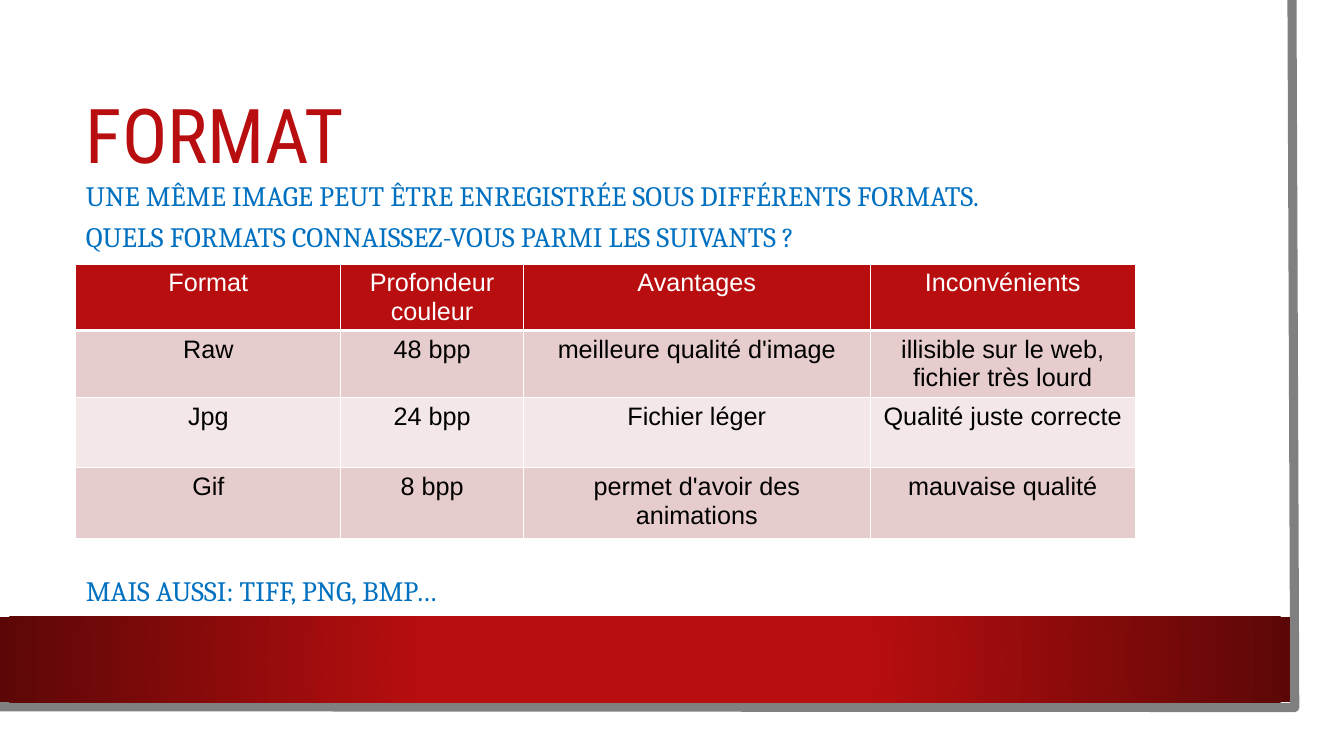
import pptx
import pptx.dml.color
import pptx.enum.shapes
import pptx.enum.text
import pptx.oxml
import pptx.oxml.ns
import pptx.util

Cm = pptx.util.Cm
Pt = pptx.util.Pt
ALIGN = pptx.enum.text.PP_ALIGN
NS = pptx.oxml.ns.nsdecls("a")

RED, DARK, BLUE = "B80E0F", "5C0707", "0070C0"
WHITE, BLACK, GREY = "FFFFFF", "000000", "808080"
BANDS = ("F3E7E7", "E6CCCC")

ROWS = [
    ("Format", "Profondeur couleur", "Avantages", "Inconvénients"),
    ("Raw", "48 bpp", "meilleure qualité d'image",
     "illisible sur le web, fichier très lourd"),
    ("Jpg", "24 bpp", "Fichier léger", "Qualité juste correcte"),
    ("Gif", "8 bpp", "permet d'avoir des animations", "mauvaise qualité"),
]
WIDTHS = (6.68, 4.6, 8.74, 6.68)
HEIGHTS = (1.68, 1.68, 1.78, 1.78)


def color(code):
    return pptx.dml.color.RGBColor.from_string(code)


def write(para, text, font, size, code):
    """Add text to a paragraph as runs, one per line."""
    for num, line in enumerate(text.split("\n")):
        if num:
            para.add_line_break()
        run = para.add_run()
        run.text = line
        run.font.name = font
        run.font.size = Pt(size)
        run.font.color.rgb = color(code)


def fill_holder(holder, box, text, font, size, code, lead):
    """Move a placeholder to its box and set its one paragraph."""
    holder.left, holder.top, holder.width, holder.height = map(Cm, box)
    frame = holder.text_frame
    frame.word_wrap = True
    frame.auto_size = pptx.enum.text.MSO_AUTO_SIZE.NONE
    frame.vertical_anchor = pptx.enum.text.MSO_ANCHOR.MIDDLE
    para = frame.paragraphs[0]
    props = para._p.get_or_add_pPr()
    props.set("marL", "0")
    props.set("indent", "0")
    props.append(pptx.oxml.parse_xml(f"<a:buNone {NS}/>"))
    para.alignment = ALIGN.LEFT
    para.line_spacing = lead
    para.space_before = Pt(0)
    write(para, text, font, size, code)


def add_block(shapes, box):
    block = shapes.add_shape(
        pptx.enum.shapes.MSO_SHAPE.RECTANGLE, *map(Cm, box))
    block.shadow.inherit = False
    block.line.fill.background()
    block.fill.solid()
    block.fill.fore_color.rgb = color(WHITE)
    return block


def shade(block):
    """Give a block a round gradient, red in the middle and dark outside."""
    block.fill.background()
    props = block._element.spPr
    blank = props.find(pptx.oxml.ns.qn("a:noFill"))
    props.replace(blank, pptx.oxml.parse_xml(
        f'<a:gradFill {NS} rotWithShape="1"><a:gsLst>'
        f'<a:gs pos="34000"><a:srgbClr val="{RED}"/></a:gs>'
        f'<a:gs pos="100000"><a:srgbClr val="{DARK}"/></a:gs></a:gsLst>'
        '<a:path path="circle"><a:fillToRect l="50000" t="50000" '
        'r="50000" b="50000"/></a:path></a:gradFill>'))


def add_decor(slide, box):
    """Draw the page, its grey edge and the red band behind the text."""
    left, top, width, height = box
    group = slide.shapes.add_group_shape()
    add_block(group.shapes, box)

    right, base = left + width - 0.64, top + height - 0.64
    pen = group.shapes.build_freeform(Cm(right - 0.07), Cm(top))
    pen.add_line_segments(
        [(Cm(right), Cm(base)), (Cm(left - 0.08), Cm(base - 0.02))],
        close=False)
    edge = pen.convert_to_shape()
    edge.shadow.inherit = False
    edge.fill.background()
    edge.line.color.rgb = color(GREY)
    edge.line.width = Pt(6.5)

    shade(add_block(group.shapes, (left, base - 2.29, width - 0.76, 2.16)))
    slide.shapes.element.insert(2, group.element)


def set_edges(cell, base):
    """Draw white cell borders, the lower one base points wide."""
    props = cell._tc.get_or_add_tcPr()
    for side, width in (("L", 1), ("R", 1), ("T", 1), ("B", base)):
        props.append(pptx.oxml.parse_xml(
            f'<a:ln{side} {NS} w="{Pt(width)}"><a:solidFill>'
            f'<a:srgbClr val="{WHITE}"/></a:solidFill></a:ln{side}>'))


def add_grid(slide, left, top):
    box = (left, top, sum(WIDTHS), sum(HEIGHTS))
    grid = slide.shapes.add_table(
        len(ROWS), len(WIDTHS), *map(Cm, box)).table
    grid.horz_banding = False
    for col, width in zip(grid.columns, WIDTHS):
        col.width = Cm(width)
    for num, texts in enumerate(ROWS):
        head = num == 0
        grid.rows[num].height = Cm(HEIGHTS[num])
        for cell, text in zip(grid.rows[num].cells, texts):
            set_edges(cell, 3 if head else 1)
            cell.fill.solid()
            cell.fill.fore_color.rgb = color(RED if head else BANDS[num % 2])
            para = cell.text_frame.paragraphs[0]
            para.alignment = ALIGN.CENTER
            write(para, text, "Arial", 18, WHITE if head else BLACK)
            para.runs[0].font.bold = False


def add_format(deck, left, width):
    """Build the slide on image formats in one column."""
    slide = deck.slides.add_slide(deck.slide_layouts.get_by_name("Two Content"))
    title, intro, more = list(slide.placeholders)[:3]
    add_decor(slide, (0, 0, 33.27, 18.47))
    fill_holder(title, (left, 1.91, width, 3.2),
                "FORMAT", "Roboto Condensed", 54, RED, 0.9)
    fill_holder(intro, (left, 4.06, width, 2.59),
                "UNE MÊME IMAGE PEUT ÊTRE ENREGISTRÉE SOUS DIFFÉRENTS FORMATS.\n"
                "QUELS FORMATS CONNAISSEZ-VOUS PARMI LES SUIVANTS ?",
                "Cambria", 20, BLUE, 1.2)
    add_grid(slide, left, 6.65)
    fill_holder(more, (left, 13.49, width, 2.59),
                "MAIS AUSSI: TIFF, PNG, BMP…", "Cambria", 20, BLUE, 1.2)


def main():
    deck = pptx.Presentation()
    deck.slide_width, deck.slide_height = Cm(33.87), Cm(19.05)
    add_format(deck, 1.91, 28.88)
    deck.save("out.pptx")


if __name__ == "__main__":
    main()
